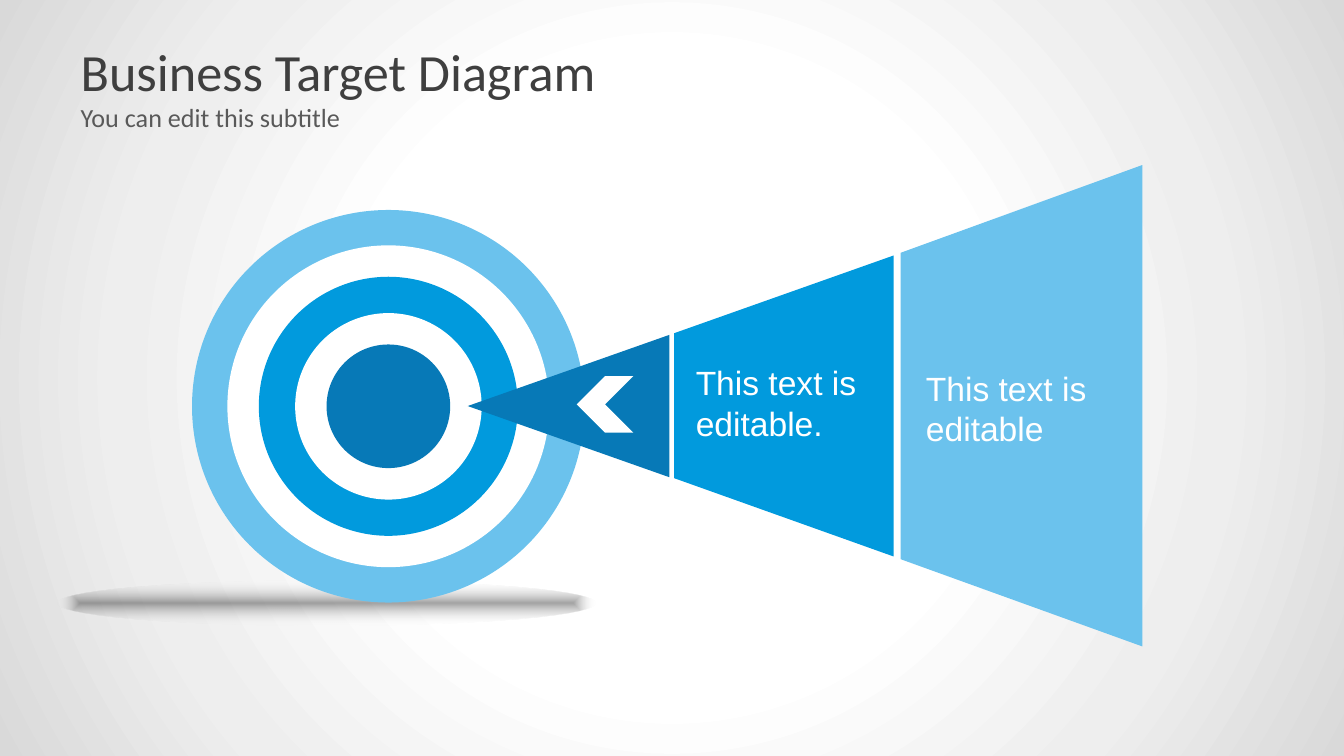
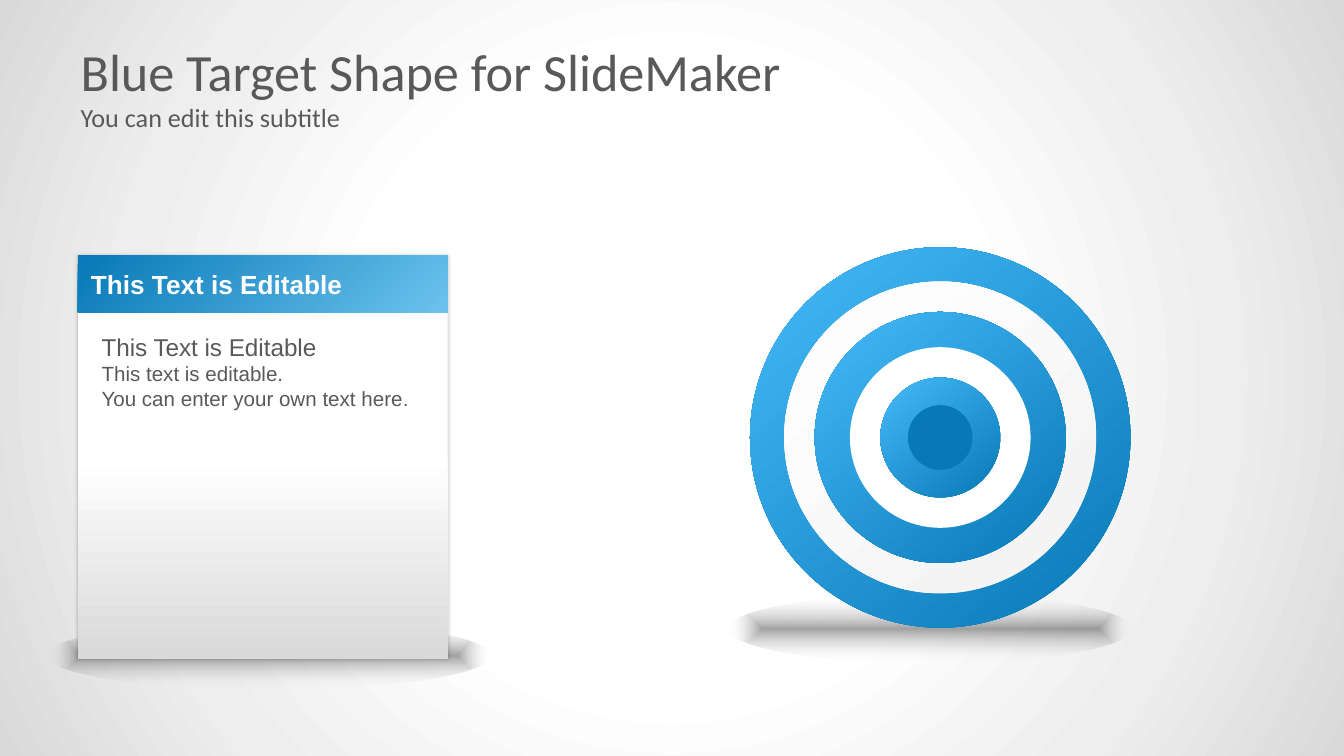
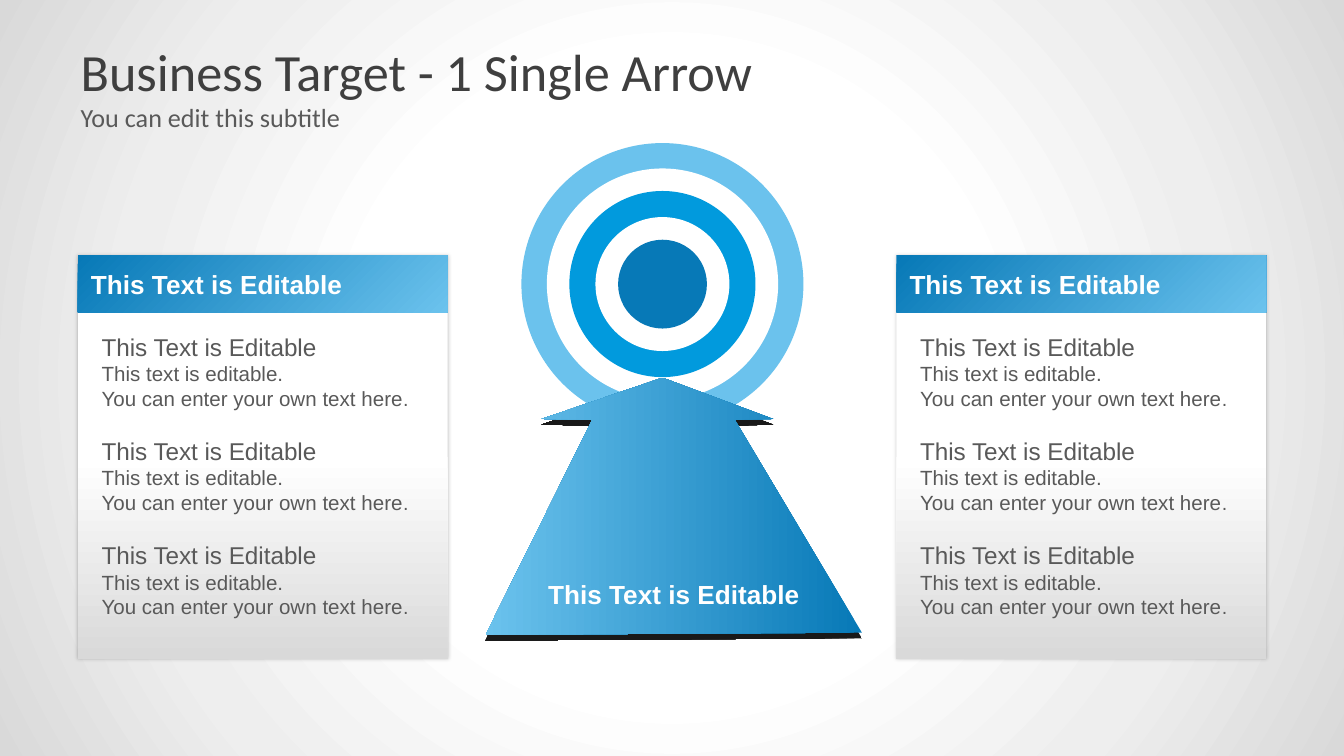
from dataclasses import dataclass
from typing import NamedTuple, Optional, Union

from pptx import Presentation
from pptx.dml.color import RGBColor as Rgb
from pptx.enum.shapes import MSO_SHAPE as Kind
from pptx.enum.text import MSO_ANCHOR as Anchor
from pptx.enum.text import MSO_AUTO_SIZE as Fit
from pptx.enum.text import PP_ALIGN as Align
from pptx.oxml import parse_xml
from pptx.oxml.ns import nsdecls, qn
from pptx.shapes.base import BaseShape as Shape
from pptx.slide import Slide
from pptx.text.text import TextFrame as Frame
from pptx.util import Cm, Pt


class Stop(NamedTuple):
    place: int
    color: str
    alpha: int = 100


class Grad(NamedTuple):
    stops: tuple[Stop, ...]
    angle: int = 0
    track: str = ""


class Glow(NamedTuple):
    alpha: int
    blur: float
    dist: float
    angle: int


class Box(NamedTuple):
    left: float
    top: float
    width: float
    height: float


class Font(NamedTuple):
    size: float
    color: str
    face: str = "Arial"
    bold: bool = False


Paint = Union[str, Grad]
Points = list[tuple[float, float]]


@dataclass(frozen=True)
class Theme:
    white: str = "FFFFFF"
    pale: str = "6BC2ED"
    mid: str = "019ADD"
    deep: str = "0779B7"
    back: Grad = Grad(
        (Stop(41, "FFFFFF"), Stop(72, "EEEEEE"), Stop(100, "D9D9D9")), track="circle"
    )
    floor: Grad = Grad((Stop(0, "0D0D0D", 38), Stop(100, "FFFFFF", 0)), track="shape")
    gloss: Grad = Grad((Stop(0, "0779B7"), Stop(100, "46B9F8")), 230)
    pearl: Grad = Grad((Stop(0, "F2F2F2"), Stop(100, "FFFFFF")), 230)
    sheet: Grad = Grad((Stop(0, "FFFFFF"), Stop(50, "FFFFFF"), Stop(100, "D9D9D9")), 90)
    strip: Grad = Grad((Stop(0, "0779B7"), Stop(100, "6BC2ED")), 45)
    arrow: Grad = Grad((Stop(0, "0779B7"), Stop(100, "6BC2ED")), 180)
    edge: Glow = Glow(20, 2, 0, 45)
    drop: Glow = Glow(90, 0, 3, 90)
    title: Font = Font(28, "3F3F3F", "Calibri")
    soft: Font = Font(28, "595959", "Calibri")
    sub: Font = Font(14, "595959", "Calibri")
    head: Font = Font(14, "FFFFFF", bold=True)
    large: Font = Font(18, "FFFFFF")
    lead: Font = Font(13, "595959")
    text: Font = Font(11, "595959")
    dot: Font = Font(10.5, "595959")


LOOK = Theme()
FLAT = (LOOK.pale, LOOK.white, LOOK.mid, LOOK.white, LOOK.deep, LOOK.deep)
SHINY = (LOOK.gloss, LOOK.pearl, LOOK.gloss, LOOK.white, LOOK.gloss, LOOK.deep)
RATIOS = (1, 0.82, 0.66, 0.475, 0.315, 0.17)
LABEL = "This Text is Editable"
LINES = (LABEL, "This text is editable.", "You can enter your own text here")


@dataclass(frozen=True)
class Target:
    x: float
    y: float
    size: float
    fills: tuple[Paint, ...] = FLAT


@dataclass(frozen=True)
class Panel:
    left: float
    count: int
    top: float = 4.83
    width: float = 6.99
    height: float = 7.62
    head: float = 1.07
    step: float = 1.97


def spread(box: Box) -> list[Cm]:
    return [Cm(side) for side in box]


def blend(grad: Grad):
    stops = "".join(
        f'<a:gs pos="{stop.place * 1000}"><a:srgbClr val="{stop.color}">'
        f'<a:alpha val="{stop.alpha * 1000}"/></a:srgbClr></a:gs>'
        for stop in grad.stops
    )
    if grad.track:
        course = (
            f'<a:path path="{grad.track}">'
            '<a:fillToRect l="50000" t="50000" r="50000" b="50000"/></a:path>'
        )
    else:
        course = f'<a:lin ang="{grad.angle * 60000}" scaled="0"/>'
    return parse_xml(
        f'<a:gradFill {nsdecls("a")} rotWithShape="1">'
        f"<a:gsLst>{stops}</a:gsLst>{course}</a:gradFill>"
    )


def pour(fill, holder, paint: Paint) -> None:
    if isinstance(paint, Grad):
        fill.gradient()
        holder.replace(holder.find(qn("a:gradFill")), blend(paint))
    else:
        fill.solid()
        fill.fore_color.rgb = Rgb.from_string(paint)


def finish(shape: Shape, paint: Paint, glow: Optional[Glow] = None) -> Shape:
    props = shape.element.spPr
    pour(shape.fill, props, paint)
    shape.line.fill.background()
    shape.shadow.inherit = False
    if glow:
        props.find(qn("a:effectLst")).append(
            parse_xml(
                f'<a:outerShdw {nsdecls("a")} blurRad="{Pt(glow.blur)}" '
                f'dist="{Pt(glow.dist)}" dir="{glow.angle * 60000}" algn="ctr" '
                'rotWithShape="0"><a:srgbClr val="000000">'
                f'<a:alpha val="{glow.alpha * 1000}"/></a:srgbClr></a:outerShdw>'
            )
        )
    return shape


def draw(shapes, kind: Kind, box: Box, paint: Paint, glow: Optional[Glow] = None) -> Shape:
    return finish(shapes.add_shape(kind, *spread(box)), paint, glow)


def trace(shapes, points: Points, paint: Paint, glow: Optional[Glow] = None) -> Shape:
    first, *rest = [(Cm(x), Cm(y)) for x, y in points]
    pen = shapes.build_freeform(*first)
    pen.add_line_segments(rest, close=True)
    return finish(pen.convert_to_shape(), paint, glow)


def style(run, font: Font) -> None:
    run.font.name = font.face
    run.font.size = Pt(font.size)
    run.font.bold = font.bold
    run.font.color.rgb = Rgb.from_string(font.color)


def write(frame: Frame, lines: tuple[str, ...], fonts: tuple[Font, ...]) -> None:
    frame.text = "\n".join(lines)
    for para, font in zip(frame.paragraphs, fonts):
        para.alignment = Align.LEFT
        style(para.runs[0], font)


def note(
    shapes, box: Box, lines: tuple[str, ...], fonts: tuple[Font, ...],
    anchor: Anchor = Anchor.TOP, wrap: bool = True,
) -> Frame:
    frame = shapes.add_textbox(*spread(box)).text_frame
    write(frame, lines, fonts)
    frame.word_wrap = wrap
    frame.auto_size = Fit.SHAPE_TO_FIT_TEXT
    frame.vertical_anchor = anchor
    return frame


def rings(shapes, target: Target) -> None:
    for ratio, paint in zip(RATIOS, target.fills):
        size = target.size * ratio
        box = Box(target.x - size / 2, target.y - size / 2, size, size)
        draw(shapes, Kind.OVAL, box, paint)


def card(slide: Slide, panel: Panel) -> None:
    shapes = slide.shapes.add_group_shape().shapes
    sheet = Box(panel.left, panel.top, panel.width, panel.height)
    draw(shapes, Kind.RECTANGLE, sheet, LOOK.sheet, LOOK.edge)
    strip = draw(shapes, Kind.RECTANGLE, sheet._replace(height=panel.head), LOOK.strip)
    write(strip.text_frame, (LABEL,), (LOOK.head,))
    strip.text_frame.vertical_anchor = Anchor.MIDDLE
    for row in range(panel.count):
        box = Box(panel.left + 0.2, panel.top + 1.32 + row * panel.step, 6.32, 2.21)
        frame = note(shapes, box, LINES, (LOOK.lead, LOOK.text, LOOK.text))
        dot = frame.paragraphs[-1].add_run()
        dot.text = "."
        style(dot, LOOK.dot)


def start(deck, title: str, font: Font) -> Slide:
    slide = deck.slides.add_slide(deck.slide_layouts[2])
    parts = (
        (slide.shapes.title, title, font, Box(1.27, 0.58, 22.86, 1.5), Anchor.MIDDLE),
        (slide.placeholders[1], "You can edit this subtitle", LOOK.sub,
         Box(1.27, 1.78, 22.86, 1.07), Anchor.TOP),
    )
    for shape, text, face, box, anchor in parts:
        shape.left, shape.top, shape.width, shape.height = spread(box)
        frame = shape.text_frame
        write(frame, (text,), (face,))
        frame.auto_size = Fit.NONE
        frame.vertical_anchor = anchor
        para = frame.paragraphs[0]
        para.space_before = Pt(0)
        para.runs[0].font._element.set("cap", "none")
    return slide


def funnel(deck) -> None:
    slide = start(deck, "Business Target Diagram", LOOK.title)
    shapes = slide.shapes
    draw(shapes, Kind.OVAL, Box(1.09, 10.97, 10.16, 0.86), LOOK.floor)
    rings(shapes.add_group_shape().shapes, Target(7.34, 7.68, 7.42))
    wedge = shapes.add_group_shape().shapes
    trace(wedge, [(17.02, 4.78), (21.59, 3.12), (21.59, 12.22), (17.02, 10.57)], LOOK.pale)
    trace(wedge, [(12.74, 6.3), (16.89, 4.83), (16.89, 10.52), (12.74, 9.04)], LOOK.mid)
    tip = draw(wedge, Kind.ISOSCELES_TRIANGLE, Box(9.4, 5.77, 2.69, 3.81), LOOK.deep)
    tip.rotation = 270
    mark = draw(shapes, Kind.CHEVRON, Box(10.9, 7.11, 1.07, 1.07), LOOK.white)
    mark.element.spPr.find(qn("a:xfrm")).set("flipH", "1")
    for box, text in (
        (Box(12.9, 6.71, 3.61, 1.8), "This text is editable."),
        (Box(17.25, 6.81, 3.81, 1.8), "This text is editable"),
    ):
        note(shapes, box, (text,), (LOOK.large,), Anchor.MIDDLE)


def single(deck) -> None:
    slide = start(deck, "Blue Target Shape for SlideMaker", LOOK.soft)
    for box in (Box(0.89, 11.76, 8.38, 1.27), Box(13.77, 11.25, 7.62, 1.27)):
        draw(slide.shapes, Kind.OVAL, box, LOOK.floor)
    rings(slide.shapes.add_group_shape().shapes, Target(17.77, 8.27, 7.19, SHINY))
    card(slide, Panel(1.47, 1))


def climb(deck) -> None:
    slide = start(deck, "Business Target - 1 Single Arrow", LOOK.title)
    for left in (1.47, 16.94):
        card(slide, Panel(left, 3))
    group = slide.shapes.add_group_shape().shapes
    rings(group, Target(12.52, 5.37, 5.33))
    points = [
        (12.52, 7.14), (14.61, 7.92), (13.89, 7.94), (16.29, 11.96),
        (9.18, 12), (11.19, 7.94), (10.24, 7.92),
    ]
    trace(group, points, LOOK.arrow, LOOK.drop)
    note(slide.shapes, Box(10.11, 10.8, 5.28, 0.86), (LABEL,), (LOOK.head,), wrap=False)


def main() -> None:
    deck = Presentation()
    deck.slide_width, deck.slide_height = Cm(25.4), Cm(14.29)
    master = deck.slide_master
    fill = master.background.fill
    fill.solid()
    pour(fill, master.element.find(".//" + qn("p:bgPr")), LOOK.back)
    for build in (funnel, single, climb):
        build(deck)
    deck.save("out.pptx")


if __name__ == "__main__":
    main()
